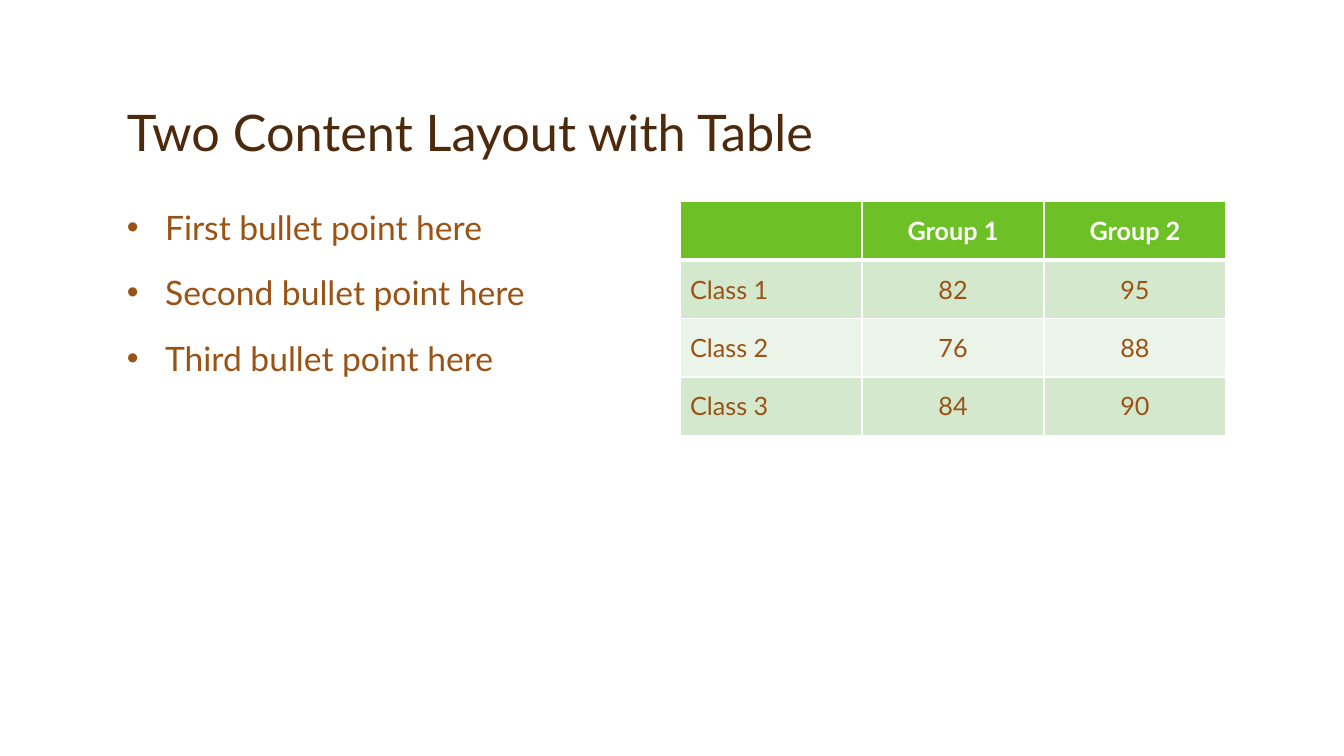
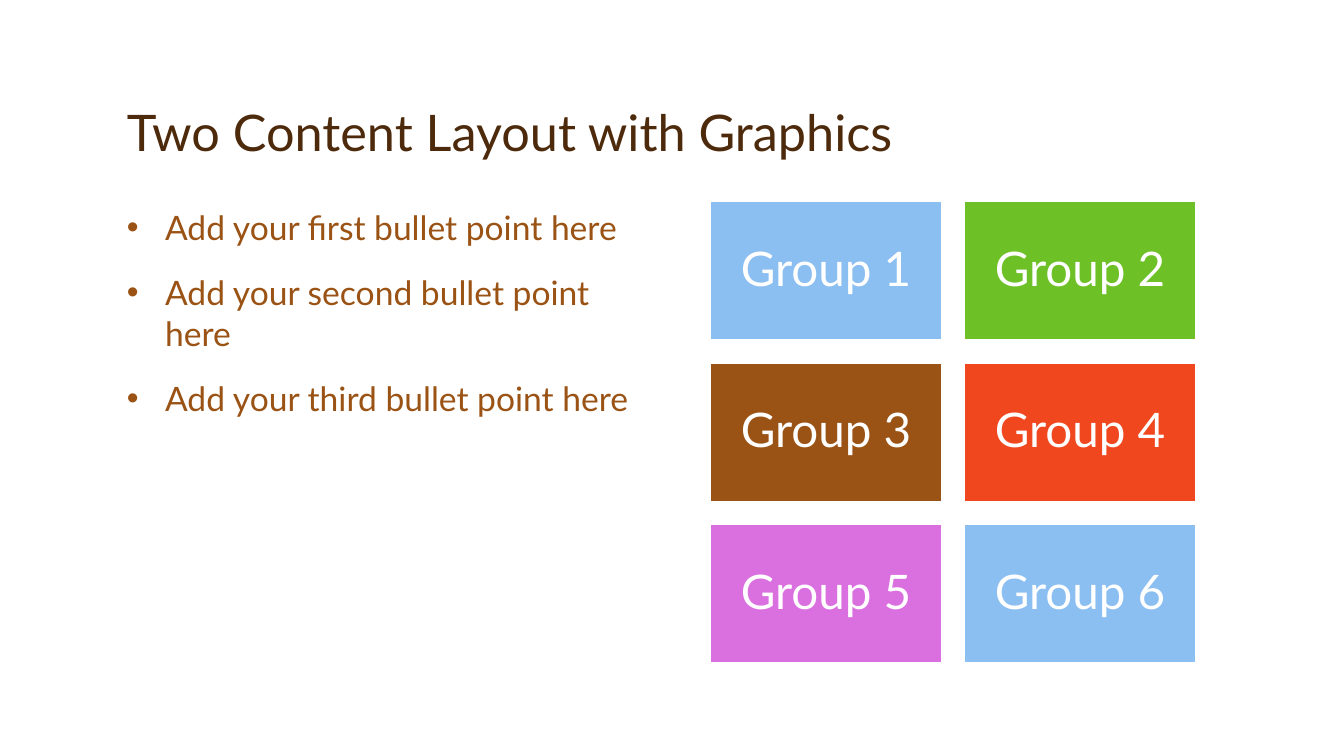
from dataclasses import dataclass

from lxml.etree import SubElement
from pptx import Presentation
from pptx.dml.color import RGBColor
from pptx.enum.shapes import MSO_SHAPE
from pptx.enum.text import MSO_ANCHOR, PP_ALIGN
from pptx.oxml import parse_xml
from pptx.oxml.ns import nsdecls, qn
from pptx.util import Inches, Pt


@dataclass(frozen=True)
class Theme:
    font: str = "Lato"
    title: str = "4D2A0B"
    body: str = "9A5315"
    white: str = "FFFFFF"
    header: str = "6DC025"
    bands: tuple = ("D4E8CD", "EBF4E8")
    accents: tuple = ("8BBEF1", "6DC025", "9A5315", "F1471F", "DA6FDF")
    title_size: int = 36
    body_size: int = 24
    table_size: int = 18
    box_size: int = 34


@dataclass(frozen=True)
class Grid:
    """Two equal columns under a title, in inches."""
    left: float = 1.16
    width: float = 11
    gutter: float = 0.17
    title_top: float = 0.33
    title_height: float = 1.33
    top: float = 2
    height: float = 4.58

    @property
    def column(self):
        return (self.width - self.gutter) / 2

    def column_left(self, index):
        return self.left + index * (self.column + self.gutter)


class Deck:
    def __init__(self, theme, grid):
        self.theme, self.grid = theme, grid
        self.presentation = Presentation()
        self.presentation.slide_width = Inches(13.33)
        self.presentation.slide_height = Inches(7.5)
        self.slide = None

    def add_slide(self, title, bullets):
        blank = self.presentation.slide_layouts[6]
        self.slide = self.presentation.slides.add_slide(blank)
        self.title(title)
        self.bullets(bullets)

    def style(self, paragraph, size, color, bold=False, align=PP_ALIGN.LEFT):
        paragraph.alignment = align
        font = paragraph.font
        for run in paragraph.runs:
            font = run.font
        font.name, font.size, font.bold = self.theme.font, Pt(size), bold
        font.color.rgb = RGBColor.from_string(color)

    def text_frame(self, left, top, width, height):
        area = map(Inches, (left, top, width, height))
        frame = self.slide.shapes.add_textbox(*area).text_frame
        frame.word_wrap = True
        return frame

    def title(self, text):
        grid = self.grid
        frame = self.text_frame(grid.left, grid.title_top, grid.width, grid.title_height)
        frame.vertical_anchor = MSO_ANCHOR.BOTTOM
        frame.text = text
        heading = frame.paragraphs[0]
        heading.line_spacing = 0.9
        self.style(heading, self.theme.title_size, self.theme.title)

    def bullets(self, points):
        grid = self.grid
        frame = self.text_frame(grid.column_left(0), grid.top, grid.column, grid.height)
        frame.text = "\n".join(points)
        indent = Inches(0.38)
        for point in frame.paragraphs:
            point.space_before = Pt(18)
            self.style(point, self.theme.body_size, self.theme.body)
            properties = point._p.get_or_add_pPr()
            properties.set("marL", str(indent))
            properties.set("indent", str(-indent))
            SubElement(properties, qn("a:buFont")).set("typeface", "Arial")
            SubElement(properties, qn("a:buChar")).set("char", "•")

    def cell_borders(self, cell, top, bottom):
        # Borders come before the fill in the cell properties
        properties = cell._tc.get_or_add_tcPr()
        sides = {"lnL": 1, "lnR": 1, "lnT": top, "lnB": bottom}
        for position, (side, points) in enumerate(sides.items()):
            properties.insert(position, parse_xml(
                f'<a:{side} {nsdecls("a")} w="{Pt(points)}"><a:solidFill>'
                f'<a:srgbClr val="{self.theme.white}"/></a:solidFill></a:{side}>'))

    def table(self, rows, row_height=0.58):
        theme, grid = self.theme, self.grid
        area = (grid.column_left(1), grid.top, grid.column, row_height * len(rows))
        table = self.slide.shapes.add_table(
            len(rows), len(rows[0]), *map(Inches, area)).table
        table.first_row = table.horz_banding = False
        for r, row in enumerate(rows):
            is_header = r == 0
            fill = theme.header if is_header else theme.bands[(r - 1) % 2]
            for c, text in enumerate(row):
                cell = table.cell(r, c)
                cell.text = text
                cell.vertical_anchor = MSO_ANCHOR.MIDDLE
                cell.fill.solid()
                cell.fill.fore_color.rgb = RGBColor.from_string(fill)
                self.cell_borders(cell, top=3 if r == 1 else 1,
                                  bottom=3 if is_header else 1)
                self.style(cell.text_frame.paragraphs[0], theme.table_size,
                           theme.white if is_header else theme.body, is_header,
                           PP_ALIGN.CENTER if c else PP_ALIGN.LEFT)

    def box(self, text, fill, left, top, width, height):
        theme = self.theme
        box = self.slide.shapes.add_shape(
            MSO_SHAPE.RECTANGLE, *map(Inches, (left, top, width, height)))
        box.shadow.inherit = False
        box.fill.solid()
        box.fill.fore_color.rgb = RGBColor.from_string(fill)
        box.line.color.rgb = RGBColor.from_string(theme.white)
        box.line.width = Pt(1)
        frame = box.text_frame
        frame.word_wrap = True
        frame.vertical_anchor = MSO_ANCHOR.MIDDLE
        frame.margin_left = frame.margin_right = Inches(0.14)
        frame.margin_top = frame.margin_bottom = Inches(0.14)
        frame.text = text
        label = frame.paragraphs[0]
        label.line_spacing = 0.9
        self.style(label, theme.box_size, theme.white, align=PP_ALIGN.CENTER)

    def box_grid(self, labels, columns=2):
        # Box height is 60% and the gap 10% of the box width
        grid, accents = self.grid, self.theme.accents
        rows = -(-len(labels) // columns)
        width = grid.height / (0.6 * rows + 0.1 * (rows - 1))
        height, gap = 0.6 * width, 0.1 * width
        block = columns * width + (columns - 1) * gap
        left = grid.column_left(1) + (grid.column - block) / 2
        for index, label in enumerate(labels):
            row, column = divmod(index, columns)
            self.box(label, accents[index % len(accents)],
                     left + column * (width + gap),
                     grid.top + row * (height + gap), width, height)


def main():
    deck = Deck(Theme(), Grid())

    # Bullets with a table
    deck.add_slide("Two Content Layout with Table",
                   [f"{order} bullet point here" for order in ("First", "Second", "Third")])
    deck.table([
        ("", "Group 1", "Group 2"),
        ("Class 1", "82", "95"),
        ("Class 2", "76", "88"),
        ("Class 3", "84", "90"),
    ])

    # Bullets with a grid of groups
    deck.add_slide("Two Content Layout with Graphics",
                   [f"Add your {order} bullet point here" for order in ("first", "second", "third")])
    deck.box_grid([f"Group {number}" for number in range(1, 7)])

    deck.presentation.save("out.pptx")


if __name__ == "__main__":
    main()
